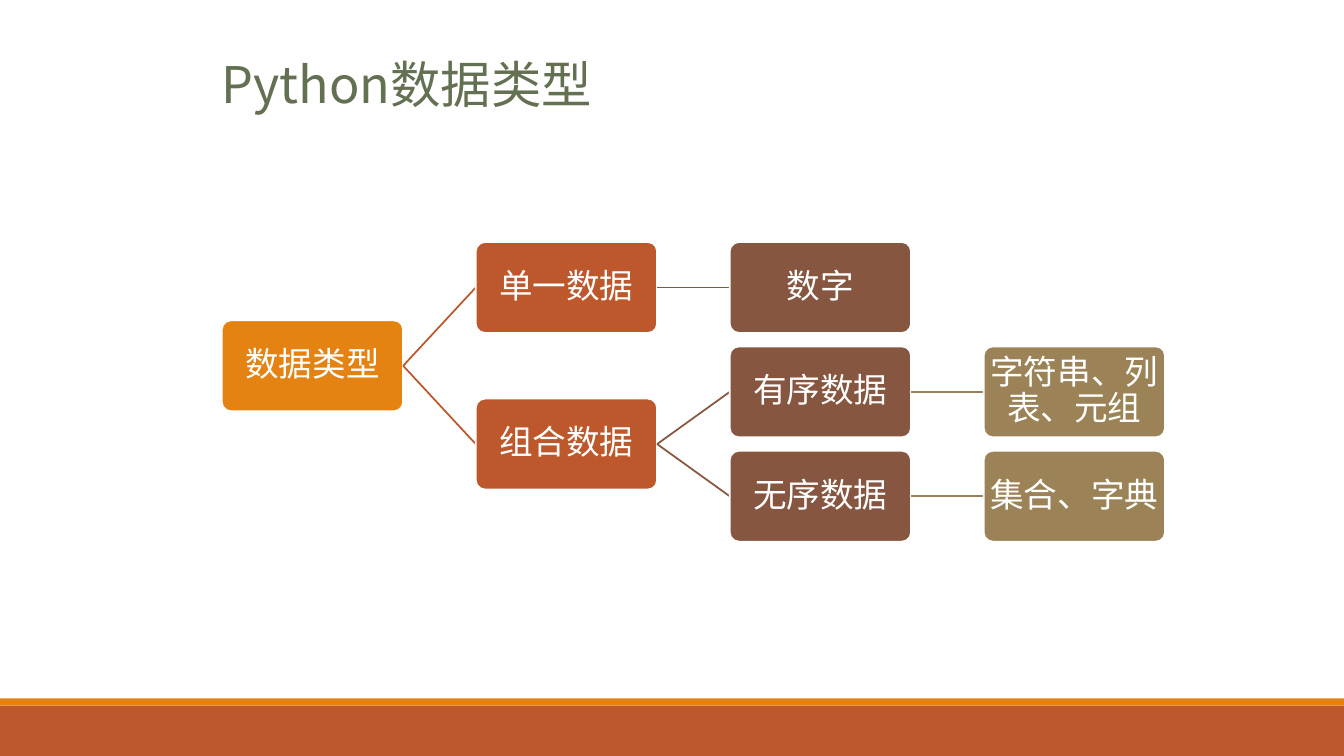
from lxml import etree
from pptx import Presentation
from pptx.dml.color import RGBColor
from pptx.enum import shapes, text
from pptx.oxml import ns
from pptx.util import Cm, Pt

COLORS = {
    "white": "FFFFFF",
    "title": "637052",
    "orange": "E48312",
    "rust": "BD582C",
    "brown": "865640",
    "khaki": "9B8357",
}
LEVEL_COLORS = ["orange", "rust", "brown", "khaki"]
FONT = "Noto Sans CJK SC"

NODE_WIDTH, NODE_HEIGHT = 4.57, 2.29
COLUMN_STEP, ROW_STEP = 6.4, 2.63

DATA_TYPES = ("数据类型", [
    ("单一数据", [("数字", [])]),
    ("组合数据", [
        ("有序数据", [("字符串、列表、元组", [])]),
        ("无序数据", [("集合、字典", [])]),
    ]),
])


def color(name):
    return RGBColor.from_string(COLORS[name])


def add_span(para, words, size, color_name):
    span = para.add_run()
    span.text = words
    span.font.size = Pt(size)
    span.font.color.rgb = color(color_name)
    span.font.name = FONT
    east_asian = etree.SubElement(span.font._element, ns.qn("a:ea"))
    east_asian.set("typeface", FONT)


def set_margins(frame, left, top, right, bottom):
    frame.margin_left, frame.margin_top = Cm(left), Cm(top)
    frame.margin_right, frame.margin_bottom = Cm(right), Cm(bottom)


def add_title(page, left, top, width, height):
    title = page.shapes.title
    title.left, title.top = Cm(left), Cm(top)
    title.width, title.height = Cm(width), Cm(height)
    frame = title.text_frame
    frame.auto_size = text.MSO_AUTO_SIZE.NONE
    frame.vertical_anchor = text.MSO_ANCHOR.TOP
    set_margins(frame, 0.04, 0.04, 0, 0)
    para = frame.paragraphs[0]
    para.alignment = text.PP_ALIGN.LEFT
    add_span(para, "Python数据类型", 36, "title")


def add_footer_bands(page, left, top, width, height):
    stripe = 0.18
    for band_top, band_height, name in [
        (top + stripe, height - stripe, "rust"),
        (top, stripe, "orange"),
    ]:
        band = page.shapes.add_shape(
            shapes.MSO_SHAPE.RECTANGLE,
            Cm(left), Cm(band_top), Cm(width), Cm(band_height))
        band.shadow.inherit = False
        band.fill.solid()
        band.fill.fore_color.rgb = color(name)
        band.line.fill.background()


def add_node(page, left, top, words, color_name):
    box = page.shapes.add_shape(
        shapes.MSO_SHAPE.ROUNDED_RECTANGLE,
        Cm(left), Cm(top), Cm(NODE_WIDTH), Cm(NODE_HEIGHT))
    box.adjustments[0] = 0.1
    box.shadow.inherit = False
    box.fill.solid()
    box.fill.fore_color.rgb = color(color_name)
    box.line.color.rgb = color("white")
    box.line.width = Pt(1.25)
    frame = box.text_frame
    frame.word_wrap = True
    frame.vertical_anchor = text.MSO_ANCHOR.MIDDLE
    set_margins(frame, 0.04, 0.04, 0.04, 0.04)
    para = frame.paragraphs[0]
    para.alignment = text.PP_ALIGN.CENTER
    para.line_spacing = 0.9
    add_span(para, words, 24, "white")


def add_branch(page, start, end, color_name):
    branch = page.shapes.add_connector(
        shapes.MSO_CONNECTOR.STRAIGHT,
        Cm(start[0]), Cm(start[1]), Cm(end[0]), Cm(end[1]))
    branch.line.color.rgb = color(color_name)
    branch.line.width = Pt(1.25)
    etree.SubElement(branch._element.spPr, ns.qn("a:effectLst"))


def count_leaves(node):
    return sum(map(count_leaves, node[1])) or 1


def middle_row(node, first_row):
    rows = [row for child, row in child_rows(node, first_row)]
    return sum(rows) / len(rows) if rows else first_row


def child_rows(node, first_row):
    placed = []
    for child in node[1]:
        placed.append((child, middle_row(child, first_row)))
        first_row += count_leaves(child)
    return placed


def add_tree(page, left, top, node, level=0, first_row=0):
    node_left = left + level * COLUMN_STEP
    node_top = top + middle_row(node, first_row) * ROW_STEP
    add_node(page, node_left, node_top, node[0], LEVEL_COLORS[level])
    start = (node_left + NODE_WIDTH, node_top + NODE_HEIGHT / 2)
    for child, row in child_rows(node, first_row):
        end = (node_left + COLUMN_STEP, top + row * ROW_STEP + NODE_HEIGHT / 2)
        add_branch(page, start, end, LEVEL_COLORS[level + 1])
        add_tree(page, left, top, child, level + 1, first_row)
        first_row += count_leaves(child)


def main():
    deck = Presentation()
    deck.slide_width, deck.slide_height = Cm(33.87), Cm(19.05)
    page = deck.slides.add_slide(deck.slide_layouts[5])
    add_footer_bands(page, 0, 17.6, 33.87, 1.45)
    add_title(page, 5.54, 1.3, 11.28, 1.57)
    add_tree(page, 5.59, 6.1, DATA_TYPES)
    deck.save("out.pptx")


if __name__ == "__main__":
    main()
